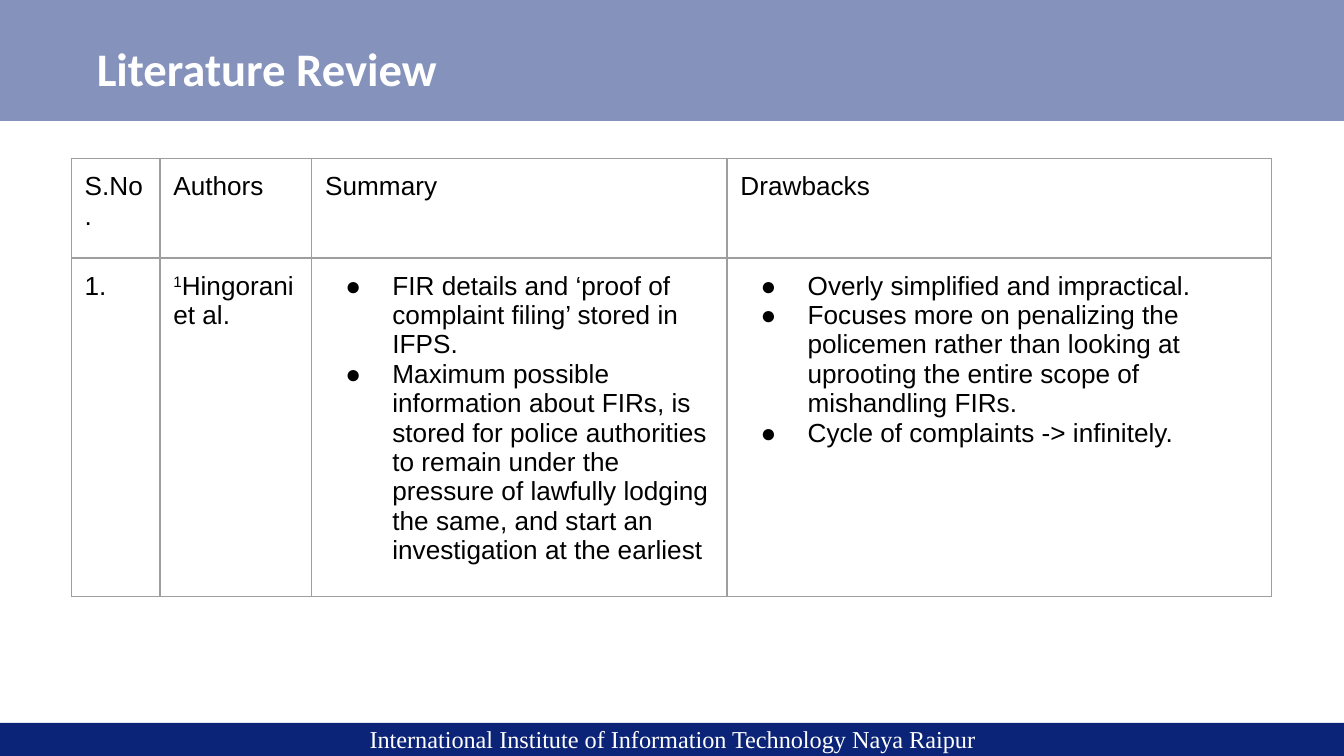
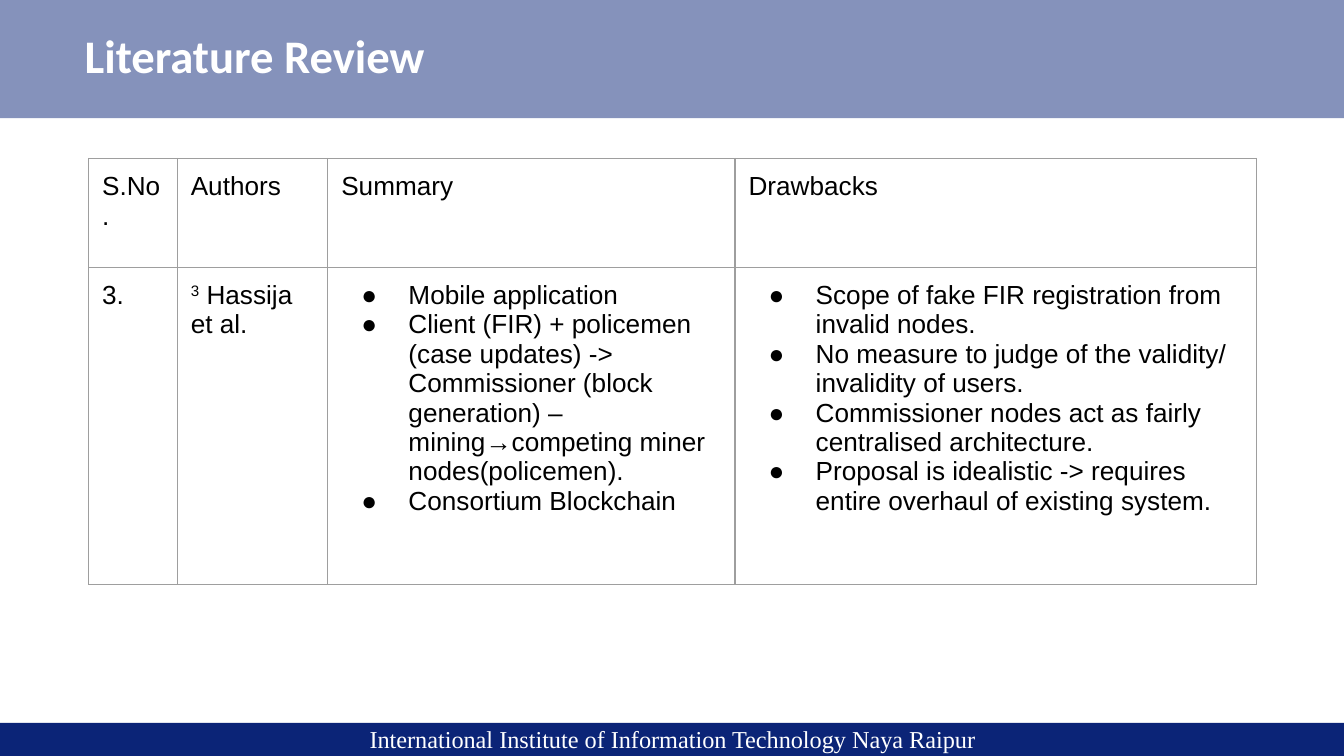
from lxml import etree
from pptx import Presentation
from pptx.dml.color import RGBColor
from pptx.enum.shapes import MSO_SHAPE
from pptx.enum.text import MSO_ANCHOR, MSO_AUTO_SIZE, PP_ALIGN
from pptx.oxml.ns import qn
from pptx.util import Inches, Pt

RECT = MSO_SHAPE.RECTANGLE
TOP, LEFT = MSO_ANCHOR.TOP, PP_ALIGN.LEFT
NO_FIT = MSO_AUTO_SIZE.NONE

NAVY = RGBColor(0x0B, 0x24, 0x77)
SLATE = RGBColor(0x85, 0x92, 0xBB)
WHITE = RGBColor(0xFF, 0xFF, 0xFF)
BLACK = RGBColor(0, 0, 0)
GREY = RGBColor(0x9E, 0x9E, 0x9E)

WIDTH = 10
HEIGHT = WIDTH * 9 / 16
FOOT_TOP = 5.38
TABLE_TOP = 1.18
TITLE = "Literature Review"
FOOTER = "International Institute of Information Technology Naya Raipur"
HEADS = ["S.No.", "Authors", "Summary", "Drawbacks"]

# An author is a (reference mark, name) pair; a list is set as bullets.
REVIEWS = [
    {
        "band": 0, "title": (0.54, 0.21, 3.97, 0.5),
        "left": 0.53, "cols": [0.66, 1.13, 3.09, 4.05], "rows": [0.74, 2.52],
        "entry": [
            "1.",
            ("1", "Hingorani et al."),
            ["FIR details and ‘proof of complaint filing’ stored in IFPS.",
             "Maximum possible information about FIRs, is stored for police "
             "authorities to remain under the pressure of lawfully lodging "
             "the same, and start an investigation at the earliest"],
            ["Overly simplified and impractical.",
             "Focuses more on penalizing the policemen rather than looking "
             "at uprooting the entire scope of mishandling FIRs.",
             "Cycle of complaints -> infinitely."],
        ],
    },
    {
        "band": -0.02, "title": (0.45, 0.11, 3.97, 0.6),
        "left": 0.66, "cols": [0.66, 1.12, 3.03, 3.88], "rows": [0.81, 2.36],
        "entry": [
            "3.",
            ("3", " Hassija et al."),
            ["Mobile application",
             "Client (FIR) + policemen (case updates) -> Commissioner (block "
             "generation) –mining→competing miner nodes(policemen).",
             "Consortium Blockchain"],
            ["Scope of fake FIR registration from invalid nodes.",
             "No measure to judge of the validity/ invalidity of users.",
             "Commissioner nodes act as fairly centralised architecture.",
             "Proposal is idealistic -> requires entire overhaul of existing "
             "system."],
        ],
    },
]


def add_bullet(para):
    props = para._p.get_or_add_pPr()
    props.set("marL", str(Inches(0.5)))
    props.set("indent", str(Inches(-0.35)))
    color = etree.SubElement(props, qn("a:buClr"))
    etree.SubElement(color, qn("a:srgbClr"), val=str(BLACK))
    etree.SubElement(props, qn("a:buFont"), typeface="Arial")
    etree.SubElement(props, qn("a:buChar"), char="●")


def write(frame, text, size=14, font="Arial", color=BLACK, bold=False):
    """Fill a frame with a string, a (mark, name) pair or a bullet list."""
    frame.word_wrap = True
    lines = text if isinstance(text, list) else [text]
    for i, line in enumerate(lines):
        para = frame.add_paragraph() if i else frame.paragraphs[0]
        para.alignment = LEFT
        if isinstance(text, list):
            add_bullet(para)
        parts = line if isinstance(line, tuple) else (line,)
        for part in parts:
            run = para.add_run()
            run.text = part
            run.font.size, run.font.name = Pt(size), font
            run.font.bold, run.font.color.rgb = bold, color
        if len(parts) > 1:
            para.runs[0].font._element.set("baseline", "30000")


def set_pad(frame, left, top, right, bottom):
    frame.margin_left, frame.margin_top = Inches(left), Inches(top)
    frame.margin_right, frame.margin_bottom = Inches(right), Inches(bottom)


def add_band(slide, top, height, color):
    band = slide.shapes.add_shape(
        RECT, 0, Inches(top), Inches(WIDTH), Inches(height))
    band.shadow.inherit = False
    band.fill.solid()
    band.fill.fore_color.rgb = color
    band.line.fill.background()


def add_frame(slide, box):
    add_band(slide, FOOT_TOP, HEIGHT - FOOT_TOP, NAVY)
    add_band(slide, box["band"], 0.9, SLATE)
    foot = slide.shapes.add_textbox(
        Inches(2.72), Inches(FOOT_TOP), Inches(4.87), Inches(0.22))
    set_pad(foot.text_frame, 0.03, 0.01, 0, 0)
    write(foot.text_frame, FOOTER, size=13, font="Times New Roman", color=WHITE)

    title = slide.shapes.title
    title.element.getparent().append(title.element)  # in front of the band
    title.left, title.top, title.width, title.height = map(Inches, box["title"])
    frame = title.text_frame
    frame.auto_size, frame.vertical_anchor = NO_FIT, TOP
    set_pad(frame, 0.18, 0.09, 0.18, 0.09)
    write(frame, TITLE, size=25, font="Calibri", color=WHITE, bold=True)


def add_border(cell):
    props = cell._tc.get_or_add_tcPr()
    for side in ("lnL", "lnR", "lnT", "lnB"):
        line = etree.SubElement(props, qn(f"a:{side}"), w=str(Pt(0.75)))
        fill = etree.SubElement(line, qn("a:solidFill"))
        etree.SubElement(fill, qn("a:srgbClr"), val=str(GREY))


def add_review(slide, left, cols, rows, entry):
    table = slide.shapes.add_table(
        len(rows), len(cols), Inches(left), Inches(TABLE_TOP),
        Inches(sum(cols)), Inches(sum(rows))).table
    table.first_row = table.horz_banding = False
    for col, width in zip(table.columns, cols):
        col.width = Inches(width)
    for row, height, texts in zip(table.rows, rows, [HEADS, entry]):
        row.height = Inches(height)
        for cell, text in zip(row.cells, texts):
            add_border(cell)
            cell.fill.background()
            set_pad(cell, 0.1, 0.1, 0.1, 0.1)
            write(cell.text_frame, text)


def main():
    deck = Presentation()
    deck.slide_width, deck.slide_height = Inches(WIDTH), Inches(HEIGHT)
    for item in REVIEWS:
        slide = deck.slides.add_slide(deck.slide_layouts[5])
        add_frame(slide, item)
        add_review(slide, item["left"], item["cols"], item["rows"],
                   item["entry"])
    deck.save("out.pptx")


if __name__ == "__main__":
    main()
